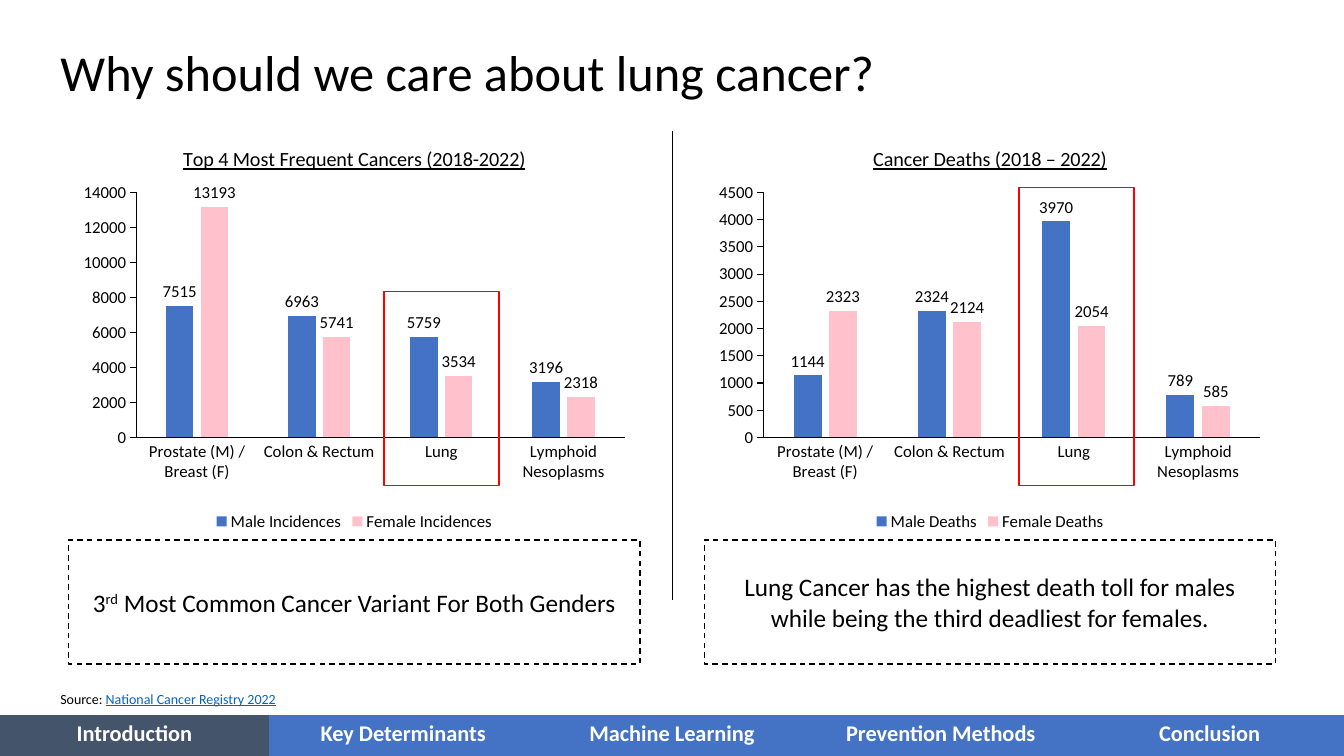
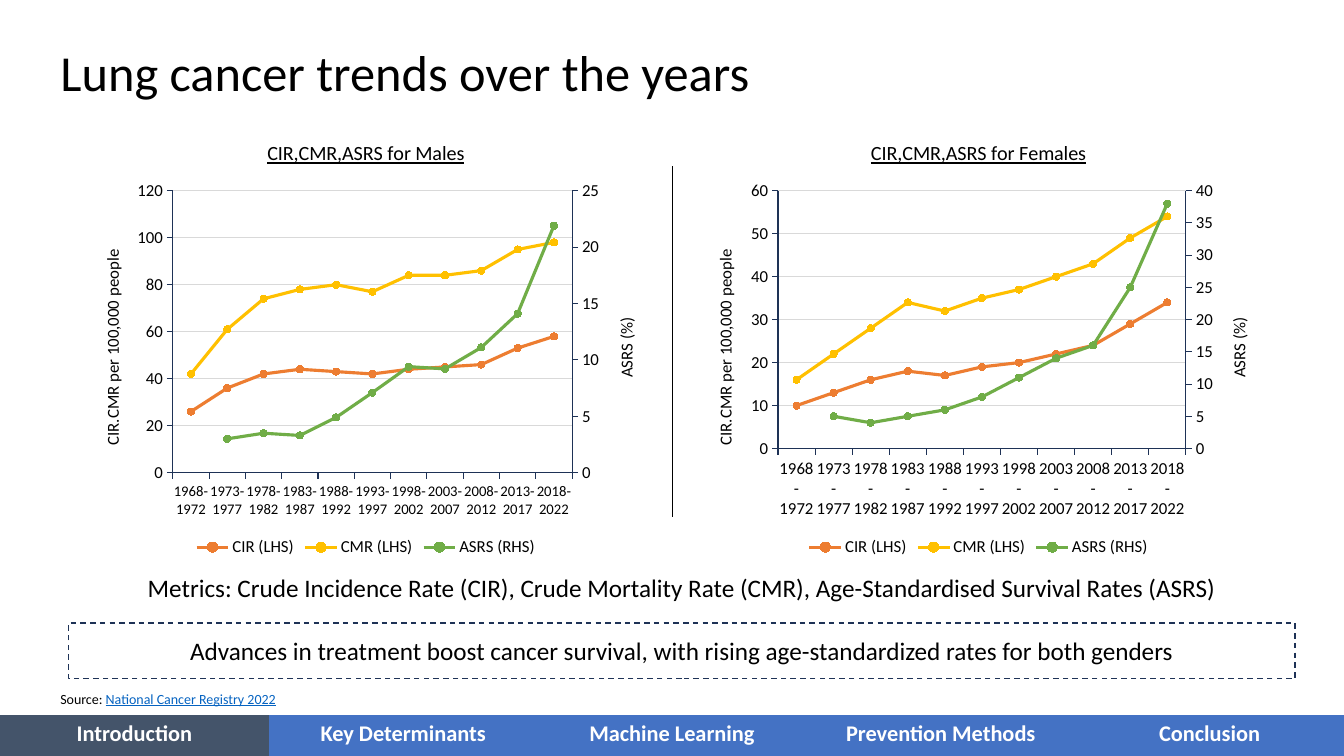
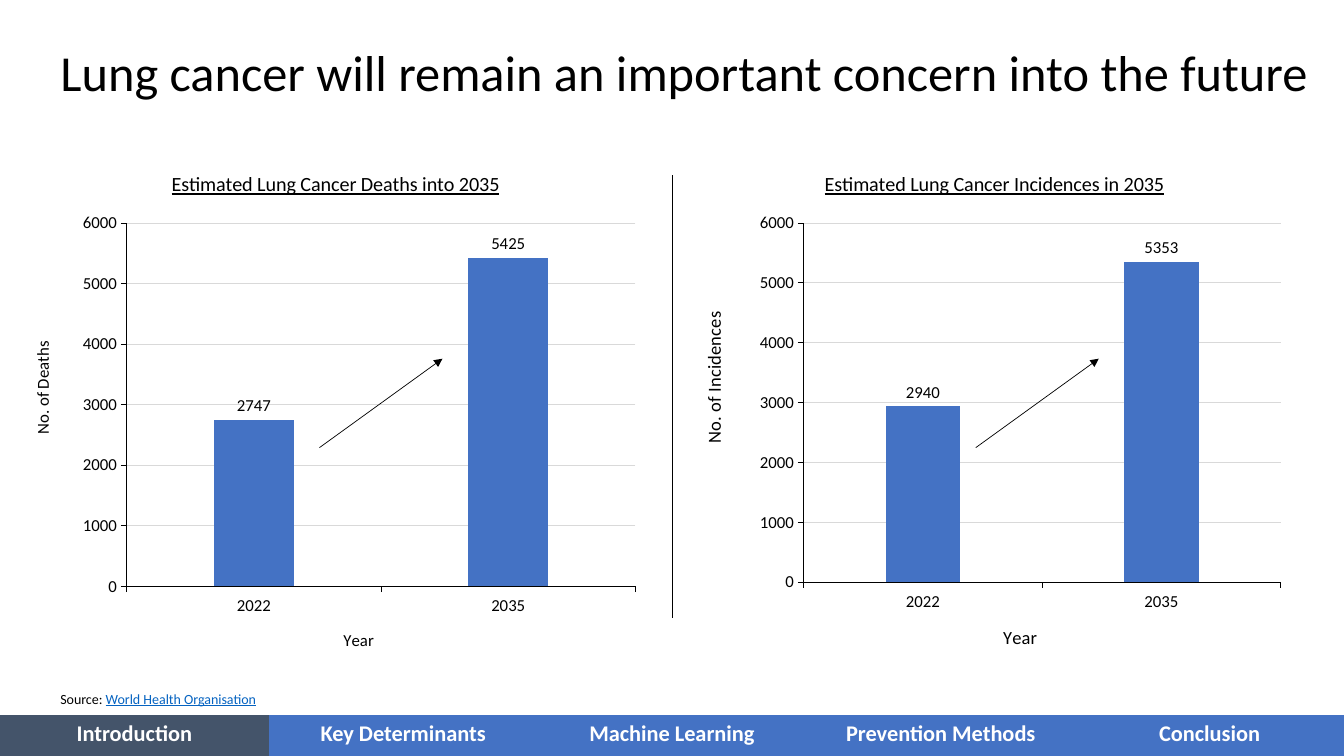
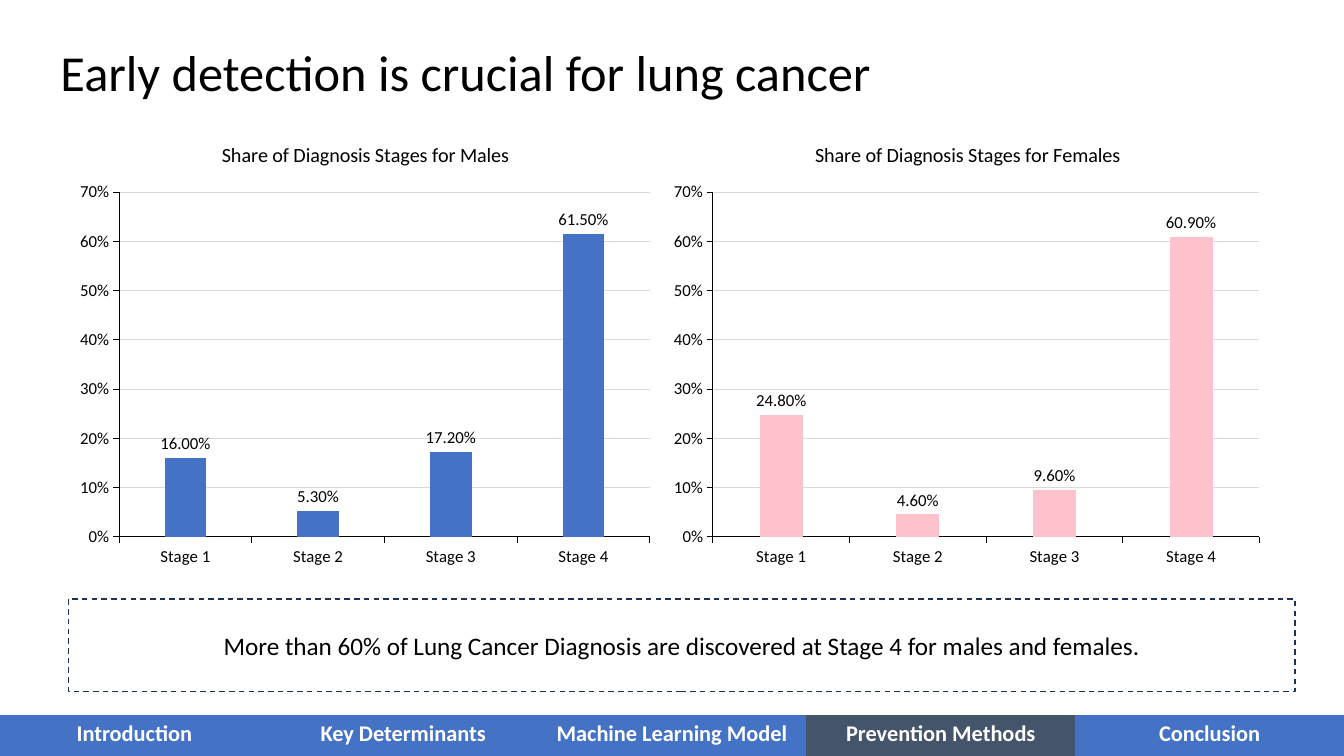
from copy import deepcopy

from lxml.etree import SubElement
from pptx import Presentation
from pptx.chart.data import CategoryChartData
from pptx.dml.color import RGBColor
from pptx.enum.chart import (
    XL_CHART_TYPE as ChartType,
    XL_LABEL_POSITION as LabelPosition,
    XL_LEGEND_POSITION as LegendPosition,
    XL_MARKER_STYLE as MarkerStyle,
    XL_TICK_MARK as TickMark,
)
from pptx.enum.dml import MSO_LINE as LineDash
from pptx.enum.shapes import MSO_CONNECTOR as Connector, MSO_SHAPE as Shape
from pptx.enum.text import MSO_ANCHOR as Anchor, MSO_AUTO_SIZE as AutoSize, PP_ALIGN as Align
from pptx.oxml.ns import qn
from pptx.util import Cm, Pt

FONT = "Calibri"
BLACK, WHITE, RED = "000000", "FFFFFF", "FF0000"
BLUE, PINK, SLATE, NAVY = "4472C4", "FFC1CB", "44546A", "1E3256"
LINK, GRID = "0563C1", "D9D9D9"
ORANGE, GOLD, GREEN = "ED7D31", "FFC000", "70AD47"
SLIDE_WIDTH, SLIDE_HEIGHT = 33.87, 19.05
LEFT = 1.73
FULL_WIDTH = 30.91
SECTIONS = ["Introduction", "Key Determinants", "Machine Learning", "Prevention Methods", "Conclusion"]
PLAIN_TABLE = "{2D5ABB26-0587-4C30-8999-92F81FD0307C}"


def rgb(color):
    return RGBColor.from_string(color)


def cm(values):
    return [Cm(value) for value in values]


def format_font(font, size=12, color=BLACK, bold=False, underline=False):
    font.name = FONT
    font.size = Pt(size)
    font.bold = bold
    font.underline = underline
    font.color.rgb = rgb(color)


def format_line(line, color=BLACK, width=0.75, dash=None):
    line.color.rgb = rgb(color)
    line.width = Pt(width)
    if dash:
        line.dash_style = dash


def add_text(paragraph, text, align=None, superscript=False, **style):
    run = paragraph.add_run()
    run.text = text
    format_font(run.font, **style)
    if superscript:
        run.font._element.set("baseline", "30000")
    if align is not None:
        paragraph.alignment = align


def set_value(element, tag, value):
    element.find(".//" + qn(tag)).set("val", str(value))


def place(element, **percents):
    """Fix a chart part by x, y, w and h in percent of the chart."""
    for old_layout in element.findall(qn("c:layout")):
        element.remove(old_layout)
    layout = element.makeelement(qn("c:layout"))
    manual = SubElement(layout, qn("c:manualLayout"))
    if "w" in percents:
        SubElement(manual, qn("c:layoutTarget")).set("val", "inner")
    for name in "xy":
        SubElement(manual, qn(f"c:{name}Mode")).set("val", "edge")
    for name, percent in percents.items():
        SubElement(manual, qn(f"c:{name}")).set("val", str(round(percent / 100, 4)))
    text = element.find(qn("c:tx"))
    if text is None:
        element.insert(0, layout)
    else:
        text.addnext(layout)


def title_axis(axis, text, x, y, size=12, upright=False):
    title = axis.axis_title
    add_text(title.text_frame.paragraphs[0], text, size=size)
    body = title.element.find(".//" + qn("a:bodyPr"))
    body.set("rot", "-5400000" if upright else "0")
    body.set("vert", "horz")
    place(title.element, x=x, y=y)


def move_last_series_right(chart, title, title_x, title_y, top, step):
    """Draw the last series against a second value axis on the right."""
    plot_area = chart.element.find(".//" + qn("c:plotArea"))
    left_plot = plot_area.find(qn("c:lineChart"))
    right_plot = deepcopy(left_plot)
    left_plot.remove(left_plot.findall(qn("c:ser"))[-1])
    for series in right_plot.findall(qn("c:ser"))[:-1]:
        right_plot.remove(series)
    left_plot.addnext(right_plot)

    category_id, value_id = "50010", "50020"
    for axis_id, number in zip(right_plot.findall(qn("c:axId")), (category_id, value_id)):
        axis_id.set("val", number)
    left_value = plot_area.find(qn("c:valAx"))
    right_value = deepcopy(left_value)
    right_category = deepcopy(plot_area.find(qn("c:catAx")))
    left_value.addnext(right_value)
    right_value.addnext(right_category)

    for tag, value in (("c:axId", category_id), ("c:crossAx", value_id), ("c:delete", 1)):
        set_value(right_category, tag, value)
    for tag, value in (("c:axId", value_id), ("c:crossAx", category_id), ("c:axPos", "r"),
                       ("c:crosses", "max"), ("c:max", top), ("c:majorUnit", step)):
        set_value(right_value, tag, value)
    right_value.remove(right_value.find(qn("c:majorGridlines")))
    right_title = right_value.find(qn("c:title"))
    right_title.find(".//" + qn("a:t")).text = title
    place(right_title, x=title_x, y=title_y)


class Deck:
    """Holds the presentation, its style and the current slide."""

    def __init__(self):
        self.presentation = Presentation()
        self.presentation.slide_width = Cm(SLIDE_WIDTH)
        self.presentation.slide_height = Cm(SLIDE_HEIGHT)
        self.slide = None

    def new_slide(self, title, active=0, sections=SECTIONS, title_width=29.21):
        layout = self.presentation.slide_layouts.get_by_name("Title Only")
        self.slide = self.presentation.slides.add_slide(layout)
        shape = self.slide.shapes.title
        shape.left, shape.top, shape.width, shape.height = cm((1.27, 0.64, title_width, 2.49))
        frame = shape.text_frame
        frame.auto_size = AutoSize.NONE
        frame.vertical_anchor = Anchor.MIDDLE
        frame.paragraphs[0].line_spacing = 0.9
        add_text(frame.paragraphs[0], title, size=36, align=Align.LEFT)
        self.navigation(sections, active)

    def navigation(self, sections, active):
        height = 1.04
        frame = self.slide.shapes.add_table(
            1, len(sections), *cm((0, SLIDE_HEIGHT - height, SLIDE_WIDTH, height)))
        table = frame.table
        table.first_row = table.horz_banding = False
        frame.element.find(".//" + qn("a:tableStyleId")).text = PLAIN_TABLE
        for index, section in enumerate(sections):
            cell = table.cell(0, index)
            cell.fill.solid()
            cell.fill.fore_color.rgb = rgb(SLATE if index == active else BLUE)
            add_text(cell.text_frame.paragraphs[0], section, size=16, color=WHITE,
                     bold=True, align=Align.CENTER)

    def text_box(self, box):
        """Add an empty box and return its paragraph."""
        frame = self.slide.shapes.add_textbox(*cm(box)).text_frame
        frame.word_wrap = True
        frame.vertical_anchor = Anchor.MIDDLE
        return frame.paragraphs[0]

    def source(self, name):
        paragraph = self.text_box((1.27, 17.37, 10.44, 0.46))
        add_text(paragraph, "Source: ", size=10)
        add_text(paragraph, name, size=10, color=LINK, underline=True)

    def outline(self, box, color, dash=None):
        shape = self.slide.shapes.add_shape(Shape.RECTANGLE, *cm(box))
        shape.shadow.inherit = False
        shape.fill.background()
        format_line(shape.line, color, 1, dash)
        return shape

    def callout(self, box, *pieces, color=NAVY):
        """Add a dashed box; a piece is a text or a (text, format) pair."""
        frame = self.outline(box, color, LineDash.DASH).text_frame
        frame.word_wrap = True
        frame.vertical_anchor = Anchor.MIDDLE
        for piece in pieces:
            text, style = (piece, {}) if isinstance(piece, str) else piece
            add_text(frame.paragraphs[0], text, size=18, align=Align.CENTER, **style)

    def line(self, start, end, arrow=False):
        connector = self.slide.shapes.add_connector(Connector.STRAIGHT, *cm(start + end))
        format_line(connector.line, width=0.5)
        properties = connector.element.find(qn("p:spPr"))
        if arrow:
            SubElement(properties.find(qn("a:ln")), qn("a:tailEnd")).set("type", "triangle")
        SubElement(properties, qn("a:effectLst"))

    def divider(self, top, bottom):
        self.line((SLIDE_WIDTH / 2, top), (SLIDE_WIDTH / 2, bottom))

    def chart(self, kind, box, title, categories, series, scale, plot, underline=True,
              legend=False, grid=True, axis_color=BLACK, category_size=12, number_format="General"):
        """Add a chart with the shared style; scale is (maximum, step), plot is in percent."""
        data = CategoryChartData()
        data.categories = categories
        for name, values in series:
            data.add_series(name, values)
        chart = self.slide.shapes.add_chart(kind, *cm(box), data).chart
        format_font(chart.font)
        chart.has_title = True
        add_text(chart.chart_title.text_frame.paragraphs[0], title, size=14.4, underline=underline)
        chart.has_legend = legend
        if legend:
            chart.legend.position = LegendPosition.BOTTOM
            chart.legend.include_in_layout = False
            format_font(chart.legend.font)

        category_axis, value_axis = chart.category_axis, chart.value_axis
        for axis, size in ((category_axis, category_size), (value_axis, 12)):
            axis.visible = True
            format_font(axis.tick_labels.font, size=size)
            format_line(axis.format.line, axis_color)
        category_axis.major_tick_mark = TickMark.OUTSIDE if grid else TickMark.NONE
        value_axis.major_tick_mark = TickMark.OUTSIDE
        value_axis.minimum_scale = 0
        value_axis.maximum_scale, value_axis.major_unit = scale
        value_axis.has_major_gridlines = grid
        if grid:
            format_line(value_axis.major_gridlines.format.line, GRID)
        value_axis.tick_labels.number_format = number_format
        value_axis.tick_labels.number_format_is_linked = False
        place(chart.element.find(".//" + qn("c:plotArea")), **dict(zip("xywh", plot)))
        return chart

    def column_chart(self, *content, colors=(BLUE,), label_format="General", **style):
        chart = self.chart(ChartType.COLUMN_CLUSTERED, *content, **style)
        plot = chart.plots[0]
        plot.gap_width, plot.overlap = 219, -27
        plot.vary_by_categories = False
        for series, color in zip(plot.series, colors):
            series.format.fill.solid()
            series.format.fill.fore_color.rgb = rgb(color)
            labels = series.data_labels
            labels.show_value = True
            labels.position = LabelPosition.OUTSIDE_END
            labels.number_format = label_format
            labels.number_format_is_linked = False
            format_font(labels.font)
        return chart

    def line_chart(self, *content, colors, **style):
        chart = self.chart(ChartType.LINE_MARKERS_STACKED, *content, legend=True,
                           axis_color=NAVY, **style)
        chart.plots[0].vary_by_categories = False
        for series, color in zip(chart.plots[0].series, colors):
            series.smooth = False
            format_line(series.format.line, color, 2.25)
            marker = series.marker
            marker.style, marker.size = MarkerStyle.CIRCLE, 5
            marker.format.fill.solid()
            marker.format.fill.fore_color.rgb = rgb(color)
            format_line(marker.format.line, color)
        return chart


def build_frequency_slide(deck):
    deck.new_slide("Why should we care about lung cancer?")
    deck.divider(3.3, 15.11)
    cancers = ["Prostate (M) / Breast (F)", "Colon & Rectum", "Lung", "Lymphoid Nesoplasms"]
    rank = ["3", ("rd", {"superscript": True}), " Most Common Cancer Variant For Both Genders"]
    toll = ["Lung Cancer has the highest death toll for males while being the third deadliest for females."]
    halves = [
        (LEFT, "Top 4 Most Frequent Cancers (2018-2022)", "Incidences",
         (7515, 6963, 5759, 3196), (13193, 5741, 3534, 2318),
         (14000, 2000), (11.8, 15.8, 85.5, 60.2), rank),
        (17.75, "Cancer Deaths (2018 – 2022)", "Deaths",
         (1144, 2324, 3970, 789), (2323, 2124, 2054, 585),
         (4500, 500), (10.3, 15.8, 87, 60.2), toll),
    ]
    for left, title, measure, males, females, scale, plot, message in halves:
        deck.column_chart((left, 3.23, 14.4, 10.26), title, cancers,
                          [(f"Male {measure}", males), (f"Female {measure}", females)],
                          scale, plot, colors=(BLUE, PINK), legend=True, grid=False)
        deck.callout((left, 13.61, 14.4, 3.12), *message, color=BLACK)
    for left, top in ((9.68, 7.34), (25.68, 4.72)):
        deck.outline((left, top, 2.9, 12.24 - top), RED)
    deck.source("National Cancer Registry 2022")


def build_trend_slide(deck):
    deck.new_slide("Lung cancer trends over the years")
    deck.divider(4.19, 13.03)
    periods = [f"{year}-{year + 4}" for year in range(1968, 2019, 5)]
    names = ("CIR (LHS)", "CMR (LHS)", "ASRS (RHS)")
    halves = [
        (1.98, "Males", 10.5, (120, 20), (25, 5), (16.4, 15.7, 69.5, 64.2),
         [(26, 36, 42, 44, 43, 42, 44, 45, 46, 53, 58),
          (16, 25, 32, 34, 37, 35, 40, 39, 40, 42, 40),
          (None, 3, 3.5, 3.3, 4.9, 7.1, 9.4, 9.2, 11.1, 14.1, 21.9)]),
        (17.42, "Females", 12, (60, 10), (40, 5), (15.1, 15.7, 71, 58.7),
         [(10, 13, 16, 18, 17, 19, 20, 22, 24, 29, 34),
          (6, 9, 12, 16, 15, 16, 17, 18, 19, 20, 20),
          (None, 5, 4, 5, 6, 8, 11, 14, 16, 25, 38)]),
    ]
    for left, group, category_size, scale, right_scale, plot, values in halves:
        chart = deck.line_chart((left, 3.07, 14.48, 11.07), f"CIR,CMR,ASRS for {group}", periods,
                                list(zip(names, values)), scale, plot,
                                colors=(ORANGE, GOLD, GREEN), category_size=category_size)
        title_axis(chart.value_axis, "CIR.CMR per 100,000 people", 3.4, 28.4, upright=True)
        move_last_series_right(chart, "ASRS (%)", 92.8, 43.9, *right_scale)
    metrics = deck.text_box((LEFT, 14.25, FULL_WIDTH, 1.09))
    add_text(metrics, "Metrics: Crude Incidence Rate (CIR), Crude Mortality Rate (CMR), "
             "Age-Standardised Survival Rates (ASRS)", size=18, align=Align.CENTER)
    deck.callout((LEFT, 15.7, FULL_WIDTH, 1.4), "Advances in treatment boost cancer survival, "
                 "with rising age-standardized rates for both genders")
    deck.source("National Cancer Registry 2022")


def build_forecast_slide(deck):
    deck.new_slide("Lung cancer will remain an important concern into the future", title_width=32.31)
    deck.divider(4.42, 15.57)
    halves = [
        (0.58, 15.75, "Estimated Lung Cancer Deaths into 2035", (2747, 5425),
         (16.6, 13.8, 81.4, 69.7), 12, ("No. of Deaths", 0.8, 35.9), ("Year", 50.8, 91), 8.05),
        (17.53, 15.06, "Estimated Lung Cancer Incidences in 2035", (2940, 5353),
         (18.1, 13.8, 79.8, 68.9), 13.2, ("No. of Incidences", 0.3, 30.1), ("Year", 50.9, 90.2), 24.59),
    ]
    for left, width, title, values, plot, size, value_title, category_title, arrow_left in halves:
        chart = deck.column_chart((left, 3.81, width, 13.13), title, ["2022", "2035"],
                                  [("Series 1", values)], (6000, 1000), plot)
        title_axis(chart.value_axis, *value_title, size=size, upright=True)
        title_axis(chart.category_axis, *category_title, size=size)
        deck.line((arrow_left, 11.28), (arrow_left + 3.1, 9.04), arrow=True)
    deck.source("World Health Organisation")


def build_detection_slide(deck):
    sections = ["Machine Learning Model" if name == "Machine Learning" else name for name in SECTIONS]
    deck.new_slide("Early detection is crucial for lung cancer", active=3, sections=sections)
    stages = [f"Stage {number}" for number in range(1, 5)]
    halves = [
        (LEFT, 14.96, "Males", (0.16, 0.053, 0.172, 0.615), BLUE, (8.5, 15.3, 89.4, 76.2)),
        (16.69, 15.39, "Females", (0.248, 0.046, 0.096, 0.609), PINK, (8.3, 15.3, 89.5, 76.2)),
    ]
    for left, width, group, shares, color, plot in halves:
        title = f"Share of Diagnosis Stages for {group}"
        deck.column_chart((left, 3.1, width, 11.4), title, stages, [(title, shares)], (0.7, 0.1), plot,
                          colors=(color,), underline=False, number_format="0%", label_format="0.00%")
    deck.callout((LEFT, 15.09, FULL_WIDTH, 2.34),
                 "More than 60% of Lung Cancer Diagnosis are discovered at Stage 4 for males and females.")


def main():
    deck = Deck()
    build_frequency_slide(deck)
    build_trend_slide(deck)
    build_forecast_slide(deck)
    build_detection_slide(deck)
    deck.presentation.save("out.pptx")


if __name__ == "__main__":
    main()
